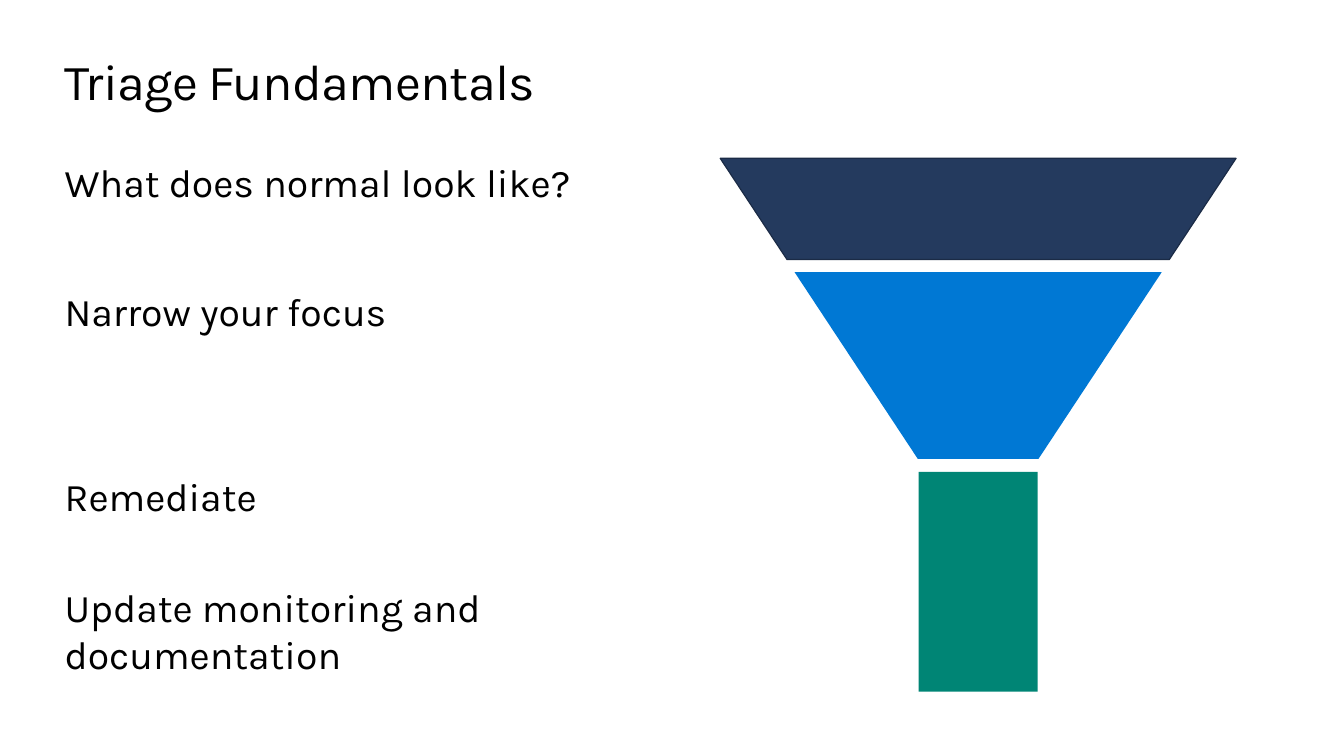
from pptx import Presentation
from pptx.dml.color import RGBColor
from pptx.enum.shapes import MSO_SHAPE
from pptx.enum.text import MSO_ANCHOR, MSO_AUTO_SIZE, PP_ALIGN
from pptx.util import Cm, Pt

BLACK = RGBColor(0x00, 0x00, 0x00)
WHITE = RGBColor(0xFF, 0xFF, 0xFF)
NAVY = RGBColor(0x24, 0x3A, 0x5E)
NAVY_EDGE = RGBColor(0x1B, 0x2B, 0x46)
BLUE = RGBColor(0x00, 0x78, 0xD4)
GREEN = RGBColor(0x00, 0x85, 0x75)
FONT = "Karla"
LEFT = 1.63


def write_text(sp, lines, size, gap=0):
    """Fill a text shape with left-aligned paragraphs set apart by gap points."""
    tf = sp.text_frame
    tf.margin_left = tf.margin_right = tf.margin_top = tf.margin_bottom = 0
    tf.word_wrap = True
    tf.auto_size = MSO_AUTO_SIZE.NONE
    tf.vertical_anchor = MSO_ANCHOR.TOP
    tf.text = "\n".join(lines)
    for i, p in enumerate(tf.paragraphs):
        p.alignment = PP_ALIGN.LEFT
        p.space_before = Pt(gap if i else 0)
        p.font.name = FONT
        p.font.size = Pt(size)
        p.font.color.rgb = BLACK


def add_title(s, left, top, width, height):
    """Place the slide title with slightly tightened letters."""
    sp = s.shapes.title
    sp.left, sp.top, sp.width, sp.height = Cm(left), Cm(top), Cm(width), Cm(height)
    write_text(sp, ["Triage Fundamentals"], 36)
    r = sp.text_frame.paragraphs[0].runs[0]
    r._r.get_or_add_rPr().set("spc", "-50")


def add_steps(s, left, top, width):
    """Place the triage steps down the left column."""
    steps = [
        (0, 1.2, ["What does normal look like?"]),
        (3.25, 1.2, ["Narrow your focus"]),
        (7.9, 5.2, ["Remediate", "Update monitoring and documentation"]),
    ]
    for offset, height, lines in steps:
        sp = s.shapes.add_textbox(Cm(left), Cm(top + offset), Cm(width), Cm(height))
        write_text(sp, lines, 28, gap=46)


def add_funnel(s, left, top, width):
    """Stack the funnel parts, centred in the given width."""
    parts = [
        (MSO_SHAPE.TRAPEZOID, 0, 13, 2.55, NAVY, NAVY_EDGE),
        (MSO_SHAPE.TRAPEZOID, 2.87, 9.25, 4.7, BLUE, None),
        (MSO_SHAPE.RECTANGLE, 7.9, 3, 5.54, GREEN, None),
    ]
    for kind, offset, w, h, color, edge in parts:
        sp = s.shapes.add_shape(
            kind, Cm(left + (width - w) / 2), Cm(top + offset), Cm(w), Cm(h)
        )
        sp.shadow.inherit = False
        sp.fill.solid()
        sp.fill.fore_color.rgb = color
        if edge:
            sp.line.color.rgb = edge
            sp.line.width = Pt(0.85)
        else:
            sp.line.fill.background()
        if kind == MSO_SHAPE.TRAPEZOID:
            sp.adjustments[0] = 0.66
            sp.rotation = 180


def main():
    """Build the slide and save it."""
    prs = Presentation()
    prs.slide_width, prs.slide_height = Cm(33.87), Cm(19.05)
    s = prs.slides.add_slide(prs.slide_layouts[5])
    s.background.fill.solid()
    s.background.fill.fore_color.rgb = WHITE
    add_title(s, LEFT, 1.27, 30.6, 1.55)
    add_steps(s, LEFT, 3.99, 14.48)
    add_funnel(s, 18.1, 3.99, 13.1)
    prs.save("out.pptx")


if __name__ == "__main__":
    main()
